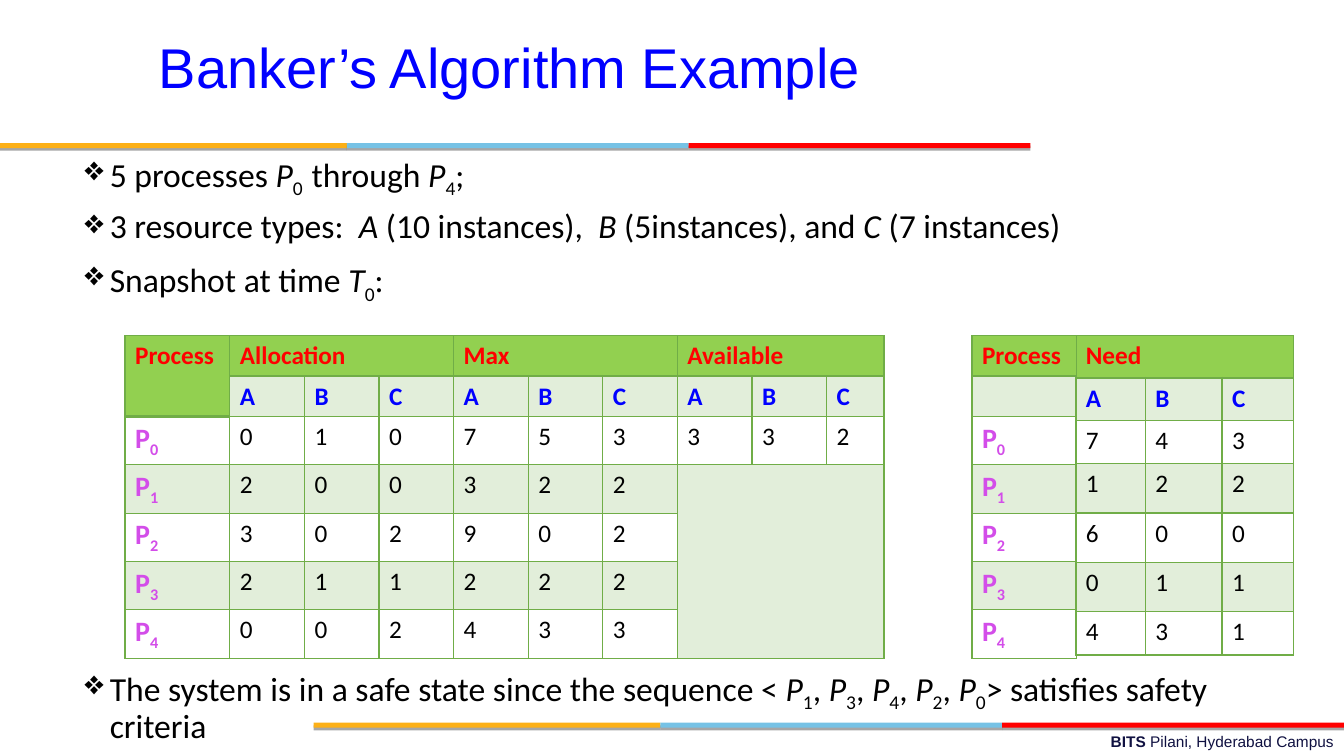
from lxml.etree import SubElement
from pptx import Presentation
from pptx.dml.color import RGBColor
from pptx.enum.shapes import MSO_SHAPE
from pptx.enum.text import PP_ALIGN
from pptx.oxml.ns import qn
from pptx.util import Inches, Pt

COLORS = {
    "amber": "FCB017", "sky": "76C2E5", "red": "FF0000", "blue": "0000FF",
    "navy": "101141", "black": "000000", "header": "92D050", "green": "70AD47",
    "violet": "D34DE9",
}
STRIPES = [("amber", 3.44), ("sky", 3.39), ("red", 3.39)]
NO_TABLE_STYLE = "{2D5ABB26-0587-4C30-8999-92F81FD0307C}"
PROCESS_ROWS = [0.4] * 2 + [0.48] * 5
NEED_ROWS = [0.42, 0.42, 0.43, 0.49, 0.49, 0.49, 0.43]
SNAPSHOT_COLUMNS = [1.04] + [0.74] * 8 + [0.57]
NEED_COLUMNS = [0.69, 0.76, 0.71]
PROCESSES = ["P0", "P1", "P2", "P3", "P4"]
ALLOCATION = ["010", "200", "302", "211", "002"]
MAXIMUM = ["753", "322", "902", "222", "433"]
AVAILABLE = ["332", "", "", "", ""]
NEED = ["743", "122", "600", "011", "431"]
FACTS = [
    "5 processes |*P|_0  |through |*P|_4|;",
    "3 resource types:  |*A| (10 instances),  |*B| (5instances), and |*C| (7 instances)",
    "Snapshot at time |*T|_0|:",
]
CONCLUSION = [
    "The system is in a safe state since the sequence < |*P|_1|, |*P|_3|, |*P|_4"
    "|, |*P|_2|, |*P|_0|> satisfies safety criteria"
]


def rgb(name):
    """Return the named colour."""
    return RGBColor.from_string(COLORS[name])


def style(font, face, size, color, bold=False):
    """Apply face, size, colour and weight to a font."""
    font.name, font.size, font.bold = face, Pt(size), bold
    font.color.rgb = rgb(color)


def add_solid(parent, color, alpha=None):
    """Add a solid colour element, optionally with an alpha percentage."""
    solid = SubElement(parent, qn("a:solidFill"))
    tint = SubElement(solid, qn("a:srgbClr"), val=COLORS[color])
    if alpha:
        SubElement(tint, qn("a:alpha"), val=str(alpha * 1000))


def add_stripes(slide, left, top):
    """Draw the three-coloured rule with its thin shadow."""
    for color, width in STRIPES:
        stripe = slide.shapes.add_shape(
            MSO_SHAPE.RECTANGLE, Inches(left), Inches(top), Inches(width), Inches(0.05))
        stripe.fill.solid()
        stripe.fill.fore_color.rgb = rgb(color)
        stripe.line.fill.background()
        stripe.shadow.inherit = False
        effects = stripe.element.spPr.find(qn("a:effectLst"))
        shadow = SubElement(effects, qn("a:outerShdw"), blurRad="0",
                            dist=str(Pt(1.8)), dir="5400000", rotWithShape="0")
        tint = SubElement(shadow, qn("a:srgbClr"), val=COLORS["black"])
        SubElement(tint, qn("a:alpha"), val="35000")
        left += width


def add_text_frame(slide, box):
    """Add a wrapping text box and return its frame."""
    frame = slide.shapes.add_textbox(*map(Inches, box)).text_frame
    frame.word_wrap = True
    return frame


def add_title(slide, box):
    """Place the centred slide title."""
    title = add_text_frame(slide, box).paragraphs[0]
    title.text = "Banker’s Algorithm Example"
    title.alignment = PP_ALIGN.CENTER
    style(title.runs[0].font, "Arial", 40, "blue")


def add_campus(slide, box):
    """Place the right-aligned campus line."""
    campus = add_text_frame(slide, box).paragraphs[0]
    campus.alignment = PP_ALIGN.RIGHT
    for words, bold in [("BITS ", True), ("Pilani, Hyderabad Campus", False)]:
        run = campus.add_run()
        run.text = words
        style(run.font, "Arial", 11, "navy", bold)


def add_bullets(slide, box, lines):
    """Place bulleted lines whose parts are marked * for italic and _ for subscript."""
    frame = add_text_frame(slide, box)
    for index, line in enumerate(lines):
        bullet = frame.add_paragraph() if index else frame.paragraphs[0]
        props = bullet._p.get_or_add_pPr()
        props.set("marL", str(Inches(0.25)))
        props.set("indent", str(-Inches(0.25)))
        bullet_color = SubElement(props, qn("a:buClr"))
        SubElement(bullet_color, qn("a:srgbClr"), val=COLORS["black"])
        SubElement(props, qn("a:buChar"), char="❖")
        bullet.line_spacing = 0.9
        if index:
            bullet.space_before = Pt(10)
        for part in line.split("|"):
            run = bullet.add_run()
            run.text = part.lstrip("*_")
            style(run.font, "Calibri", 24, "black")
            if part.startswith("*"):
                run.font.italic = True
            if part.startswith("_"):
                run.font._element.set("baseline", "-25000")


def format_cell(cell, value, row, header):
    """Write one cell and give it borders and fill according to its row."""
    props = cell._tc.get_or_add_tcPr()
    for side in "LRTB":
        thick = (row == 0 and side == "B") or (row == 1 and side == "T")
        border = SubElement(props, qn("a:ln" + side), w=str(Pt(1.98 if thick else 0.96)))
        add_solid(border, "green")
    if header:
        add_solid(props, "header")
    elif row % 2:
        add_solid(props, "green", 20)
    else:
        cell.fill.background()
    if not value:
        return
    entry = cell.text_frame.paragraphs[0]
    if value in PROCESSES:
        for mark in value:
            run = entry.add_run()
            run.text = mark
            style(run.font, "Calibri", 20, "violet", True)
        run.font._element.set("baseline", "-25000")
    else:
        entry.text = value
        color = "red" if row == 0 else "blue" if row == 1 else "black"
        style(entry.runs[0].font, "Calibri", 18, color, row < 2)


def add_grid(slide, left, top, columns, heights, values, merges=()):
    """Build a bordered table, merging the given corner-to-corner areas."""
    table = slide.shapes.add_table(
        len(heights), len(columns), Inches(left), Inches(top),
        Inches(sum(columns)), Inches(sum(heights))).table
    table.first_row = table.horz_banding = False
    table._tbl.tblPr.find(qn("a:tableStyleId")).text = NO_TABLE_STYLE
    for column, width in zip(table.columns, columns):
        column.width = Inches(width)
    for line, height in zip(table.rows, heights):
        line.height = Inches(height)
    for first, last in merges:
        table.cell(*first).merge(table.cell(*last))
    for row, entries in enumerate(values):
        for col, value in enumerate(entries):
            header = row == 0 or ((0, 0), (1, 0)) in merges and (row, col) == (1, 0)
            format_cell(table.cell(row, col), value, row, header)


def add_snapshot(slide, left, top):
    """Place the table of allocation, maximum and available resources."""
    values = [["Process", "Allocation", "", "", "Max", "", "", "Available", "", ""],
              ["", *"ABC" * 3]]
    for name, held, most, free in zip(PROCESSES, ALLOCATION, MAXIMUM, AVAILABLE):
        values.append([name, *held, *most, *(free or [""] * 3)])
    merges = [((0, 0), (1, 0)), ((3, 7), (6, 9))]
    merges += [((0, col), (0, col + 2)) for col in (1, 4, 7)]
    add_grid(slide, left, top, SNAPSHOT_COLUMNS, PROCESS_ROWS, values, merges)


def add_need(slide, left, top):
    """Place the need table with its process column on the left."""
    need = [["Need", "", ""], "ABC", *NEED]
    add_grid(slide, left + 1.03, top, NEED_COLUMNS, NEED_ROWS, need, [((0, 0), (0, 2))])
    names = [[name] for name in ["Process", "", *PROCESSES]]
    add_grid(slide, left, top, [1.04], PROCESS_ROWS, names)


def main():
    """Build the slide and save it."""
    deck = Presentation()
    deck.slide_width, deck.slide_height = Inches(13.33), Inches(7.5)
    slide = deck.slides.add_slide(deck.slide_layouts[6])
    add_stripes(slide, 0, 1.42)
    add_stripes(slide, 3.11, 7.17)
    add_campus(slide, (4.78, 7.21, 8.55, 0.28))
    add_title(slide, (0.4, 0.27, 9.3, 0.76))
    add_bullets(slide, (0.74, 1.48, 11.61, 1.7), FACTS)
    add_bullets(slide, (0.74, 6.58, 11.61, 0.85), CONCLUSION)
    add_snapshot(slide, 1.24, 3.33)
    add_need(slide, 9.64, 3.33)
    deck.save("out.pptx")


if __name__ == "__main__":
    main()
